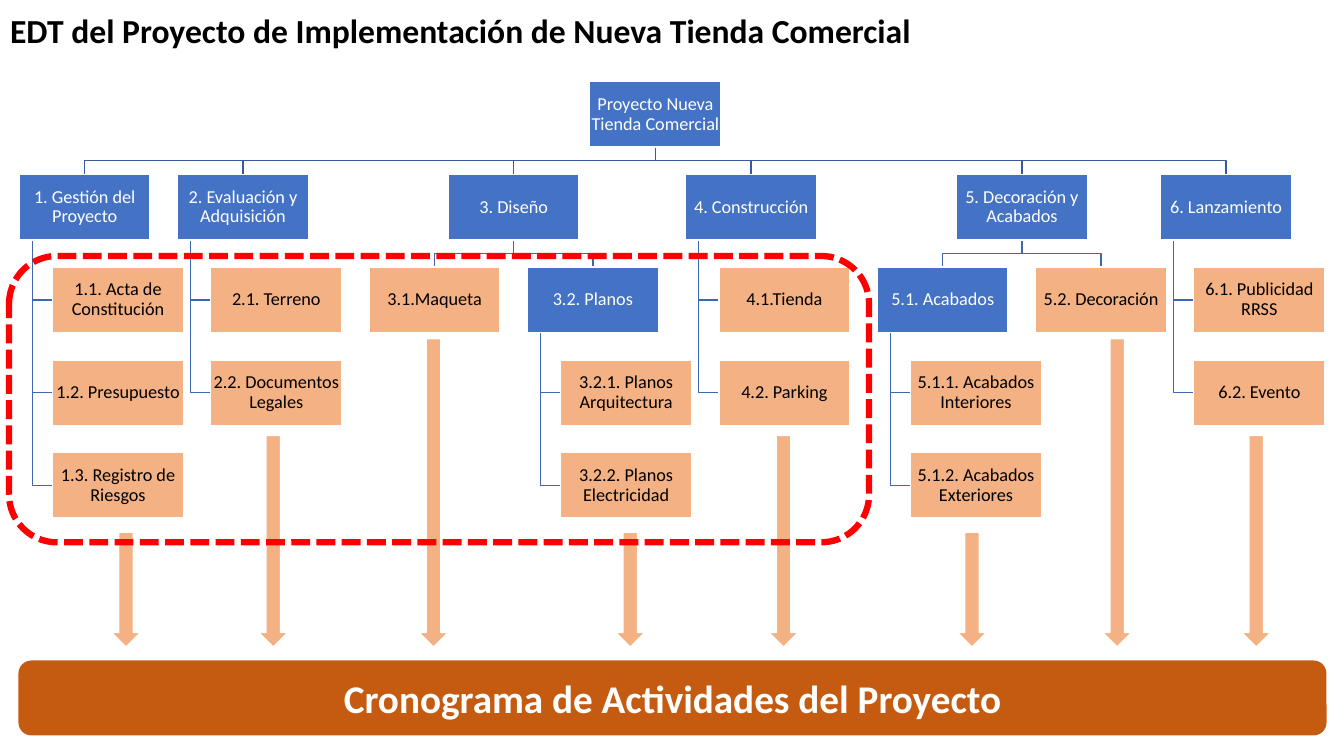
"""Work breakdown structure of a new shop project, feeding its schedule."""
from pptx import Presentation
from pptx.dml.color import RGBColor
from pptx.enum.dml import MSO_LINE
from pptx.enum.shapes import MSO_SHAPE
from pptx.enum.text import MSO_ANCHOR, PP_ALIGN
from pptx.util import Inches, Pt

TITLE = "EDT del Proyecto de Implementación de Nueva Tienda Comercial"
BANNER = "Cronograma de Actividades del Proyecto"
TREE = ("Proyecto Nueva Tienda Comercial", "spread", [
    ("1. Gestión del Proyecto", "hang", [
        "1.1. Acta de Constitución", "1.2. Presupuesto", "1.3. Registro de Riesgos"]),
    ("2. Evaluación y Adquisición", "hang", ["2.1. Terreno", "2.2. Documentos Legales"]),
    ("3. Diseño", "spread", [
        "3.1.Maqueta",
        ("3.2. Planos", "hang", ["3.2.1. Planos Arquitectura", "3.2.2. Planos Electricidad"])]),
    ("4. Construcción", "hang", ["4.1.Tienda", "4.2. Parking"]),
    ("5. Decoración y Acabados", "spread", [
        ("5.1. Acabados", "hang", ["5.1.1. Acabados Interiores", "5.1.2. Acabados Exteriores"]),
        "5.2. Decoración"]),
    ("6. Lanzamiento", "hang", ["6.1. Publicidad RRSS", "6.2. Evento"]),
])
ARROWS = [(1.25, 4), (2.71, 3), (4.3, 2), (7.77, 3),
          (11.08, 2), (9.64, 4), (12.46, 3), (6.25, 4)]
COLORS = {"group": "4472C4", "task": "F4B183", "trunk": "365B9D", "branch": "3E67B2",
          "banner": "C55A11", "frame": "FF0000", "white": "FFFFFF", "black": "000000"}
FONT = "Calibri"
WIDE, HIGH = 1.3, 0.65
TOP, STEP = 0.81, 0.92
PITCH, INDENT, STEM = 1.57, 0.33, 0.13
LEFT = 0.19
TIP = 6.42


def color(name):
    return RGBColor.from_string(COLORS[name])


def row_top(row):
    return TOP + STEP * row


def place(node, row, free, boxes, lines):
    """Set a node and its children beside those already placed; return its left."""
    if isinstance(node, str):
        left = free[row]
        boxes.append((node, left, row, "task"))
    else:
        name, style, kids = node
        base = row_top(row) + HIGH
        if style == "hang":
            rows = range(row + 1, row + 1 + len(kids))
            left = max([free[row]] + [free[r] - INDENT for r in rows])
            for kid, r in zip(kids, rows):
                free[r] = left + INDENT
                edge = place(kid, r, free, boxes, lines)
                stem, mid = left + STEM, row_top(r) + HIGH / 2
                lines.append(("branch", [(stem, base), (stem, mid), (edge, mid)]))
        else:
            edges = [place(kid, row + 1, free, boxes, lines) for kid in kids]
            left = (edges[0] + edges[-1]) / 2
            end = row_top(row + 1)
            mid, start = (base + end) / 2, left + WIDE / 2
            tone = "branch" if row else "trunk"
            for edge in edges:
                stop = edge + WIDE / 2
                lines.append((tone, [(start, base), (start, mid), (stop, mid), (stop, end)]))
        boxes.append((name, left, row, "group"))
    free[row] = left + PITCH
    return left


def write(frame, text, size, tone, bold=False, align=PP_ALIGN.CENTER):
    frame.word_wrap = True
    para = frame.paragraphs[0]
    para.alignment = align
    run = para.add_run()
    run.text = text
    run.font.name, run.font.size, run.font.bold = FONT, Pt(size), bold
    run.font.color.rgb = color(tone)
    return para


def add_box(slide, kind, area, fill, line, width=1):
    shape = slide.shapes.add_shape(kind, *[Inches(v) for v in area])
    shape.shadow.inherit = False
    if fill:
        shape.fill.solid()
        shape.fill.fore_color.rgb = color(fill)
    else:
        shape.fill.background()
    shape.line.color.rgb = color(line)
    shape.line.width = Pt(width)
    return shape


def add_line(slide, tone, points):
    first, *rest = [(Inches(x), Inches(y)) for x, y in points]
    pen = slide.shapes.build_freeform(*first)
    pen.add_line_segments(rest, close=False)
    shape = pen.convert_to_shape()
    shape.shadow.inherit = False
    shape.fill.background()
    shape.line.color.rgb = color(tone)
    shape.line.width = Pt(1)


def add_node(slide, name, left, row, kind):
    area = (left, row_top(row), WIDE, HIGH)
    frame = add_box(slide, MSO_SHAPE.RECTANGLE, area, kind, "white").text_frame
    frame.margin_left = frame.margin_right = Inches(0.01)
    frame.margin_top = frame.margin_bottom = Inches(0.01)
    frame.vertical_anchor = MSO_ANCHOR.MIDDLE
    para = write(frame, name, 13, "black" if kind == "task" else "white")
    para.line_spacing = 0.9


def main():
    deck = Presentation()
    deck.slide_width, deck.slide_height = Inches(13.33), Inches(7.5)
    slide = deck.slides.add_slide(deck.slide_layouts[5])

    title = slide.shapes.title
    title.left, title.top = Inches(0), Inches(0.05)
    title.width, title.height = Inches(9.63), Inches(0.5)
    title.text_frame.vertical_anchor = MSO_ANCHOR.TOP
    write(title.text_frame, TITLE, 24, "black", True, PP_ALIGN.LEFT)

    boxes, lines = [], []
    place(TREE, 0, [LEFT] * 5, boxes, lines)
    for tone, points in lines:
        add_line(slide, tone, points)
    for box in boxes:
        add_node(slide, *box)

    banner = add_box(slide, MSO_SHAPE.ROUNDED_RECTANGLE, (0.19, 6.56, 12.96, 0.73),
                     "banner", "banner")
    banner.text_frame.vertical_anchor = MSO_ANCHOR.MIDDLE
    write(banner.text_frame, BANNER, 28, "white", True)

    for mid, row in ARROWS:
        top = 3.36 + 0.96 * (row - 2)
        add_box(slide, MSO_SHAPE.DOWN_ARROW, (mid - 0.145, top, 0.29, TIP - top),
                "task", "white")

    frame = add_box(slide, MSO_SHAPE.ROUNDED_RECTANGLE, (0.09, 2.54, 8.53, 2.84),
                    None, "frame", 4.5)
    frame.line.dash_style = MSO_LINE.SQUARE_DOT
    deck.save("out.pptx")


if __name__ == "__main__":
    main()
